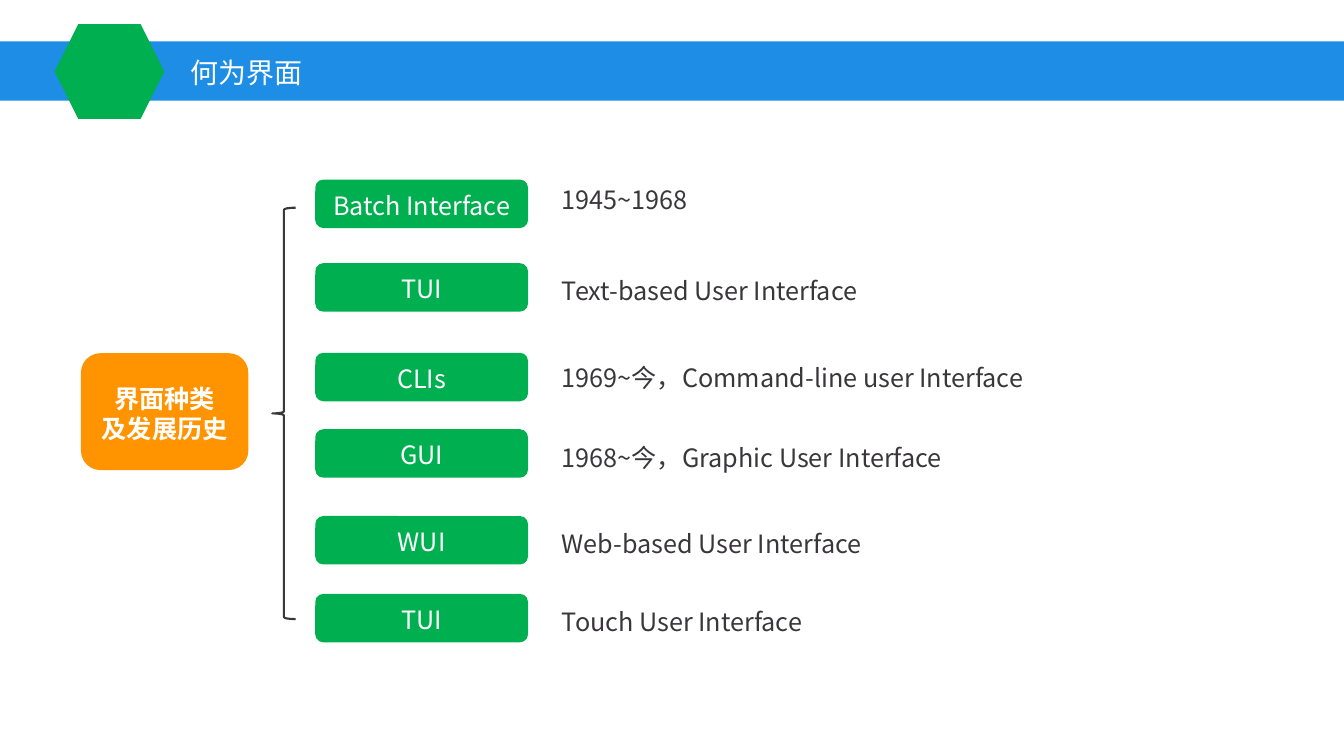
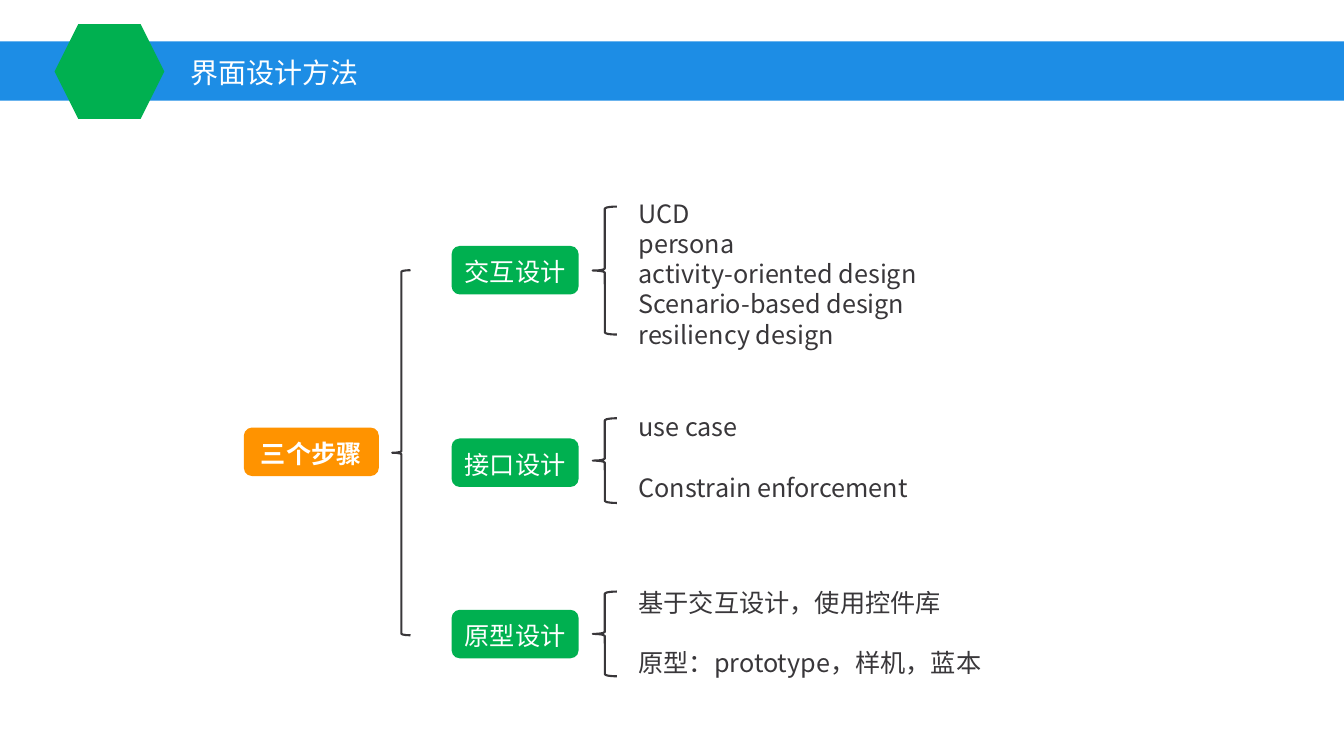
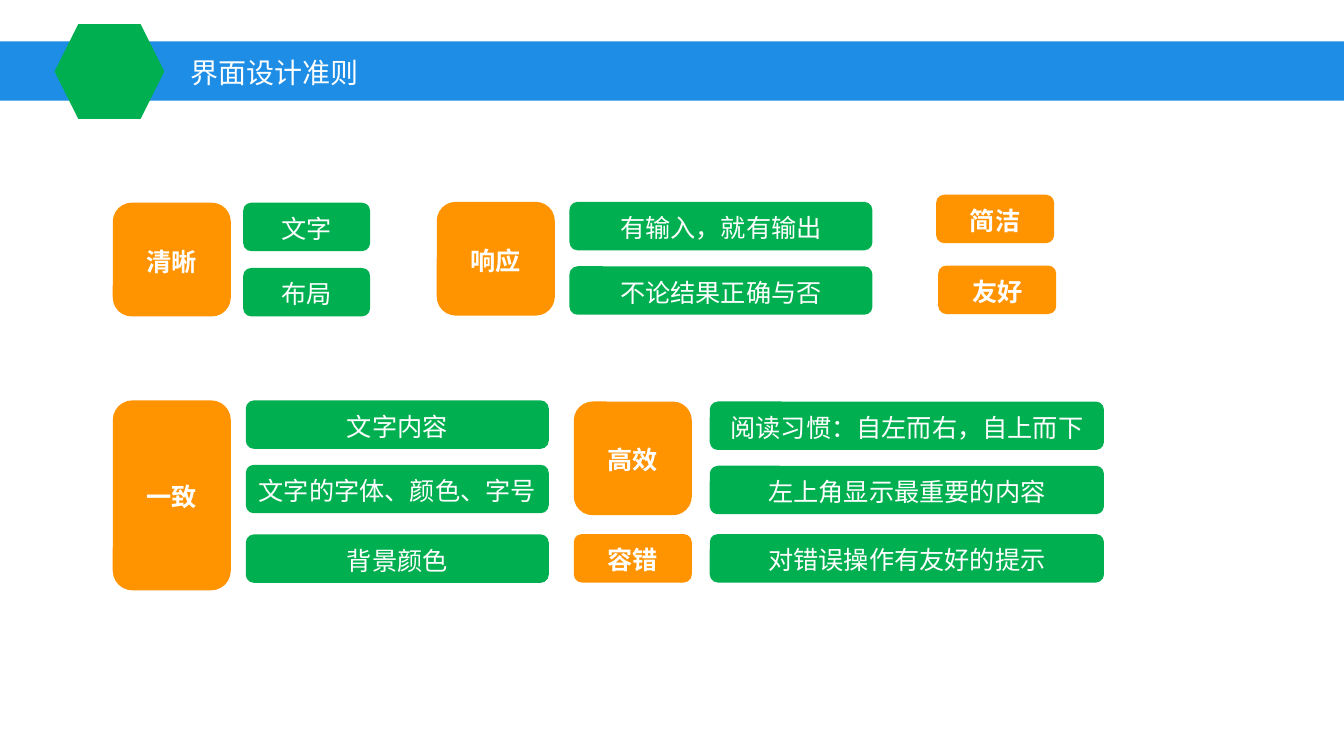
from dataclasses import dataclass

from lxml import etree
from pptx import Presentation
from pptx.dml.color import RGBColor
from pptx.enum.shapes import MSO_SHAPE
from pptx.enum.text import MSO_ANCHOR, PP_ALIGN
from pptx.oxml.ns import qn
from pptx.util import Pt

BLUE = RGBColor(0x1D, 0x8D, 0xE5)
GREEN = RGBColor(0x00, 0xB0, 0x50)
ORANGE = RGBColor(0xFF, 0x93, 0x00)
DARK = RGBColor(0x39, 0x37, 0x3A)
WHITE = RGBColor(0xFF, 0xFF, 0xFF)

RECT = MSO_SHAPE.RECTANGLE
ROUND = MSO_SHAPE.ROUNDED_RECTANGLE
HEXAGON = MSO_SHAPE.HEXAGON
BRACE = MSO_SHAPE.LEFT_BRACE
MIDDLE, TOP = MSO_ANCHOR.MIDDLE, MSO_ANCHOR.TOP
LEFT, CENTER = PP_ALIGN.LEFT, PP_ALIGN.CENTER

FONT = "Noto Sans CJK SC"
BODY_SIZE, TITLE_SIZE = 18, 20
LEADING = 1.2
BOX_H = 34.6


@dataclass(frozen=True)
class Box:
    text: str
    x: float
    y: float
    w: float
    h: float = BOX_H


@dataclass(frozen=True)
class Kind:
    """One row of the interface history."""
    name: str
    note: str
    y: float
    note_y: float


@dataclass(frozen=True)
class Step:
    """One design step with its brace and details."""
    name: str
    y: float
    brace_y: float
    brace_h: float
    note: str
    note_y: float
    note_h: float
    gap: float = 0


@dataclass(frozen=True)
class Rule:
    """One design principle with its green details."""
    head: Box
    x: float = 0
    w: float = 0
    details: tuple[tuple[str, float], ...] = ()


# Drawing helpers
def write(sp, text: str, color: RGBColor, size: float = BODY_SIZE, bold: bool = False,
          align=LEFT, anchor=MIDDLE, gap: float = 0) -> None:
    tf = sp.text_frame
    tf.text = text
    tf.vertical_anchor = anchor
    for i, p in enumerate(tf.paragraphs):
        p.alignment = align
        p.line_spacing = Pt(size * LEADING)
        if i and gap:
            p.space_before = Pt(gap)
        for r in p.runs:
            r.font.name, r.font.size, r.font.bold = FONT, Pt(size), bold
            r.font.color.rgb = color
            etree.SubElement(r.font._element, qn("a:ea")).set("typeface", FONT)


def add_shape(s, kind, x: float, y: float, w: float, h: float, fill: RGBColor):
    sp = s.shapes.add_shape(kind, Pt(x), Pt(y), Pt(w), Pt(h))
    sp.shadow.inherit = False
    sp.fill.solid()
    sp.fill.fore_color.rgb = fill
    sp.line.fill.background()
    return sp


def add_box(s, box: Box, fill: RGBColor) -> None:
    sp = add_shape(s, ROUND, box.x, box.y, box.w, box.h, fill)
    tf = sp.text_frame
    tf.margin_left = tf.margin_right = tf.margin_bottom = 0
    tf.margin_top = Pt(2)
    write(sp, box.text, WHITE, bold=fill == ORANGE, align=CENTER)


def add_brace(s, x: float, y: float, w: float, h: float) -> None:
    sp = s.shapes.add_shape(BRACE, Pt(x), Pt(y), Pt(w), Pt(h))
    sp.shadow.inherit = False
    sp.fill.background()
    sp.line.color.rgb = DARK
    sp.line.width = Pt(1.5)


def add_note(s, box: Box, gap: float = 0) -> None:
    sp = s.shapes.add_textbox(Pt(box.x), Pt(box.y), Pt(box.w), Pt(box.h))
    sp.text_frame.word_wrap = True
    sp.text_frame.margin_top = Pt(4.6)
    write(sp, box.text, DARK, anchor=TOP, gap=gap)


def add_slide(prs, title: str):
    """Blank slide with the blue band, hexagon and title."""
    s = prs.slides.add_slide(prs.slide_layouts[6])
    add_shape(s, RECT, 0, 29.5, 960, 42.4, BLUE)
    add_shape(s, HEXAGON, 39, 17.2, 78.4, 67.8, GREEN)
    sp = s.shapes.add_textbox(Pt(128.8), Pt(34.6), Pt(402.5), Pt(31.7))
    sp.text_frame.word_wrap = True
    sp.text_frame.margin_top = Pt(5.6)
    write(sp, title, WHITE, TITLE_SIZE)
    return s


# Slide contents
KINDS = (
    Kind("Batch Interface", "1945~1968", 128.3, 127.4),
    Kind("TUI", "Text-based User Interface", 188, 192.2),
    Kind("CLIs", "1969~今，Command-line user Interface", 252, 254.4),
    Kind("GUI", "1968~今，Graphic User Interface", 306.6, 311),
    Kind("WUI", "Web-based User Interface", 368.6, 373),
    Kind("TUI", "Touch User Interface", 424.2, 428.6),
)

STEPS = (
    Step("交互设计", 175.7, 147.6, 91.4,
         "UCD\npersona\nactivity-oriented design\nScenario-based design\nresiliency design",
         136.8, 116.6),
    Step("接口设计", 313.2, 298.8, 60.5, "use case\nConstrain enforcement",
         289.4, 72.7, BODY_SIZE * LEADING),
    Step("原型设计", 435.6, 422.6, 60.5,
         "基于交互设计，使用控件库\n原型：prototype，样机，蓝本",
         414.7, 72.7, BODY_SIZE * LEADING),
)

HEAD_W, HEAD_H = 84.3, 81.2
RULES = (
    Rule(Box("清晰", 80.6, 144.8, HEAD_W, HEAD_H), 173.7, 90.7,
         (("文字", 144.8), ("布局", 191.4))),
    Rule(Box("响应", 312, 144.2, HEAD_W, HEAD_H), 406.8, 216.4,
         (("有输入，就有输出", 144.2), ("不论结果正确与否", 190.2))),
    Rule(Box("简洁", 668.7, 139.1, HEAD_W)),
    Rule(Box("友好", 670.2, 189.7, HEAD_W)),
    Rule(Box("一致", 80.6, 286, HEAD_W, 135.7), 175.6, 216.4,
         (("文字内容", 286), ("文字的字体、颜色、字号", 332), ("背景颜色", 381.7))),
    Rule(Box("高效", 409.9, 286.8, HEAD_W, HEAD_H), 507, 281.6,
         (("阅读习惯：自左而右，自上而下", 286.8), ("左上角显示最重要的内容", 332.7))),
    Rule(Box("容错", 409.9, 381.5, HEAD_W), 507, 281.6,
         (("对错误操作有友好的提示", 381.5),)),
)


def build_history(prs) -> None:
    s = add_slide(prs, "何为界面")
    add_box(s, Box("界面种类\n及发展历史", 57.8, 252.3, 119.6, 83.5), ORANGE)
    add_brace(s, 194.5, 148.4, 16.6, 293.8)
    for kind in KINDS:
        add_box(s, Box(kind.name, 225.2, kind.y, 152), GREEN)
        add_note(s, Box(kind.note, 394.2, kind.note_y, 400, 29))


def build_steps(prs) -> None:
    s = add_slide(prs, "界面设计方法")
    add_box(s, Box("三个步骤", 174.2, 305.4, 96.4), ORANGE)
    add_brace(s, 280.2, 193, 13, 260.8)
    for step in STEPS:
        add_box(s, Box(step.name, 322.6, step.y, 90.7), GREEN)
        add_brace(s, 423.4, step.brace_y, 17.2, step.brace_h)
        add_note(s, Box(step.note, 449, step.note_y, 265.7, step.note_h), step.gap)


def build_rules(prs) -> None:
    s = add_slide(prs, "界面设计准则")
    for rule in RULES:
        add_box(s, rule.head, ORANGE)
        for text, y in rule.details:
            add_box(s, Box(text, rule.x, y, rule.w), GREEN)


def main() -> None:
    prs = Presentation()
    prs.slide_width, prs.slide_height = Pt(960), Pt(540)
    build_history(prs)
    build_steps(prs)
    build_rules(prs)
    prs.save("out.pptx")


if __name__ == "__main__":
    main()
